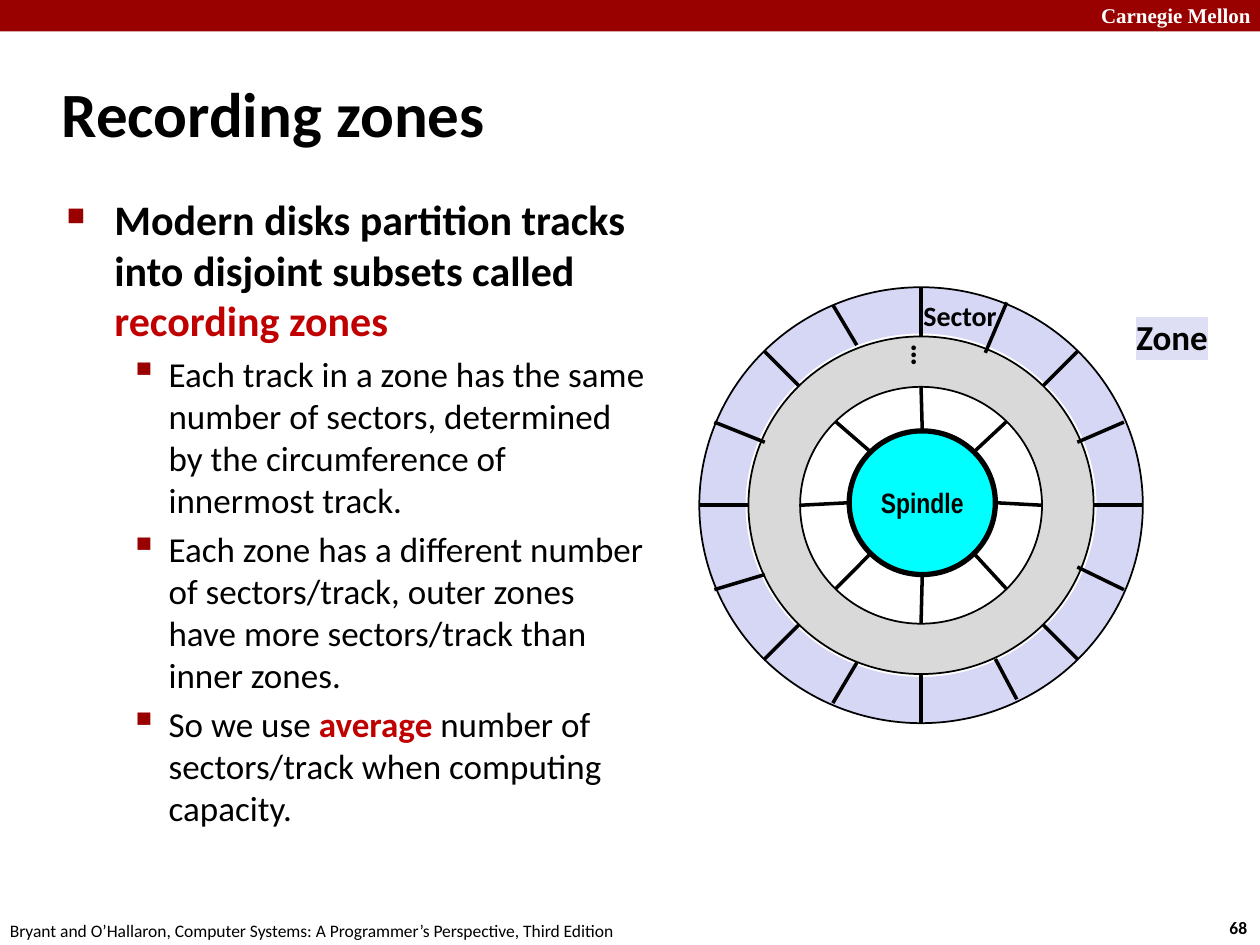
from math import cos, pi, sin

from lxml import etree
from pptx import Presentation
from pptx.dml.color import RGBColor
from pptx.enum.shapes import MSO_CONNECTOR, MSO_SHAPE as SHAPE
from pptx.enum.text import MSO_ANCHOR as ANCHOR, PP_ALIGN as ALIGN
from pptx.oxml.ns import qn
from pptx.util import Inches, Pt

COLORS = {
    "black": "000000", "white": "FFFFFF", "band": "990000", "accent": "C00000",
    "zone": "D6D6F5", "highlight": "DEDFF5", "gap": "D9D9D9", "spindle": "00FFFF",
}

# Disk geometry: centres and (horizontal, vertical) radii
DISK, HUB = (7.31, 4.01), (7.32, 3.99)
OUTER, MIDDLE, INNER, SPINDLE = (1.76, 1.73), (1.37, 1.34), (0.96, 0.94), (0.58, 0.57)

# Sector borders of the outer zone between the eight main directions
EXTRA_BORDERS = [
    (7.99, 2.4, 7.82, 2.8), (8.55, 3.51, 8.92, 3.35),
    (8.55, 4.5, 8.92, 4.68), (7.9, 5.23, 8.07, 5.55),
    (6.8, 5.26, 6.61, 5.58), (5.67, 4.68, 6.07, 4.56),
    (5.67, 3.35, 6.07, 3.51), (6.61, 2.42, 6.8, 2.74),
]

# Body paragraphs: level and runs of (text, emphasised)
BODY = [
    (0, [("Modern disks partition tracks into disjoint subsets called ", False),
         ("recording zones", True)]),
    (1, [("Each track in a zone has the same number of sectors, determined by the "
          "circumference of innermost track.", False)]),
    (1, [("Each zone has a different number of sectors/track, outer zones have more "
          "sectors/track than inner zones.", False)]),
    (1, [("So we use ", False), ("average ", True),
         ("number of sectors/track when computing capacity.", False)]),
]
# Per level: text size, left margin, hanging indent, bullet, bullet size in percent
LEVELS = [(24, 0.38, 0.38, "■", 60), (20, 0.81, 0.31, "▪", 110)]


def rgb(name):
    return RGBColor.from_string(COLORS[name])


def style(r, size, color="black", bold=True, font="Calibri"):
    r.font.size, r.font.bold, r.font.name = Pt(size), bold, font
    r.font.color.rgb = rgb(color)


def add_shape(s, kind, x, y, w, h, fill=None, line=None):
    sp = s.shapes.add_shape(kind, Inches(x), Inches(y), Inches(w), Inches(h))
    sp.shadow.inherit = False
    if fill:
        sp.fill.solid()
        sp.fill.fore_color.rgb = rgb(fill)
    else:
        sp.fill.background()
    if line:
        sp.line.color.rgb = rgb("black")
        sp.line.width = Pt(line)
    else:
        sp.line.fill.background()
    return sp


def add_circle(s, center, radii, fill=None, line=None, kind=SHAPE.OVAL):
    (cx, cy), (rx, ry) = center, radii
    return add_shape(s, kind, cx - rx, cy - ry, 2 * rx, 2 * ry, fill, line)


def add_text(s, text, x, y, w, h, size, wrap=False, anchor=ANCHOR.TOP, **font):
    box = s.shapes.add_textbox(Inches(x), Inches(y), Inches(w), Inches(h))
    tf = box.text_frame
    tf.word_wrap, tf.vertical_anchor = wrap, anchor
    p = tf.paragraphs[0]
    p.text = text
    p.alignment = ALIGN.LEFT
    style(p.runs[0], size, **font)
    return box


def add_line(s, x1, y1, x2, y2):
    line = s.shapes.add_connector(
        MSO_CONNECTOR.STRAIGHT, Inches(x1), Inches(y1), Inches(x2), Inches(y2))
    line.line.color.rgb = rgb("black")
    line.line.width = Pt(2)
    etree.SubElement(line._element.spPr, qn("a:effectLst"))


def add_spokes(s, center, radii, end_center, end_radii):
    for i in range(8):
        ux, uy = cos(i * pi / 4), sin(i * pi / 4)
        add_line(s, center[0] + radii[0] * ux, center[1] + radii[1] * uy,
                 end_center[0] + end_radii[0] * ux, end_center[1] + end_radii[1] * uy)


def add_bullet(p, margin, hang, char, percent):
    pPr = p._p.get_or_add_pPr()
    pPr.set("marL", str(Inches(margin)))
    pPr.set("indent", str(-Inches(hang)))
    color = etree.SubElement(pPr, qn("a:buClr"))
    etree.SubElement(color, qn("a:srgbClr"), val=COLORS["band"])
    etree.SubElement(pPr, qn("a:buSzPct"), val=str(percent * 1000))
    etree.SubElement(pPr, qn("a:buChar"), char=char)


def add_body(s):
    box = s.shapes.add_textbox(Inches(0.43), Inches(1.49), Inches(4.83), Inches(5.54))
    tf = box.text_frame
    tf.word_wrap = True
    for i, (level, runs) in enumerate(BODY):
        p = tf.add_paragraph() if i else tf.paragraphs[0]
        size, *bullet = LEVELS[level]
        add_bullet(p, *bullet)
        p.level = level
        if i:
            p.space_before = Pt(size * 0.2)
        for text, strong in runs:
            r = p.add_run()
            r.text = text
            style(r, size, "accent" if strong else "black", strong or level == 0)


def add_disk(s):
    # Rings from the outside in
    zone = add_circle(s, DISK, OUTER, "zone", kind=SHAPE.DONUT)
    zone.adjustments[0] = 0.106
    add_circle(s, DISK, MIDDLE, "gap", 1)
    add_circle(s, DISK, INNER, "white", 1)
    add_circle(s, DISK, OUTER, line=1)
    spindle = add_circle(s, HUB, SPINDLE, "spindle", 3)
    tf = spindle.text_frame
    tf.text = "Spindle"
    tf.word_wrap, tf.vertical_anchor = False, ANCHOR.MIDDLE
    tf.paragraphs[0].alignment = ALIGN.CENTER
    style(tf.paragraphs[0].runs[0], 16, font="Arial Narrow")

    # Sector borders
    add_spokes(s, DISK, INNER, HUB, SPINDLE)
    add_spokes(s, DISK, OUTER, DISK, MIDDLE)
    for border in EXTRA_BORDERS:
        add_line(s, *border)

    # Labels
    dots = add_text(s, "…", 6.97, 2.73, 0.5, 0.28, 18)
    dots.text_frame._txBody.bodyPr.set("vert", "vert270")
    label = add_text(s, "Zone", 8.92, 2.45, 0.77, 0.44, 20, True, ANCHOR.MIDDLE)
    rPr = label.text_frame.paragraphs[0].runs[0].font._element
    mark = etree.Element(qn("a:highlight"))
    etree.SubElement(mark, qn("a:srgbClr"), val=COLORS["highlight"])
    rPr.find(qn("a:solidFill")).addnext(mark)
    add_text(s, "Sector", 7.23, 2.32, 0.79, 0.37, 16, anchor=ANCHOR.MIDDLE)


def main():
    prs = Presentation()
    prs.slide_width, prs.slide_height = Inches(10), Inches(7.5)
    s = prs.slides.add_slide(prs.slide_layouts[6])

    # Header band and footer
    add_shape(s, SHAPE.RECTANGLE, 0, 0, 10, 0.25, "band")
    add_text(s, "Carnegie Mellon", 8.64, -0.03, 1.43, 0.3, 12,
             color="white", font="Times New Roman")
    add_text(s, "68", 9.66, 7.23, 0.37, 0.27, 10)
    add_text(s, "Bryant and O’Hallaron, Computer Systems: A Programmer’s Perspective, "
             "Third Edition", -0.02, 7.25, 5.08, 0.27, 10, bold=False)

    # Title, text and disk
    add_text(s, "Recording zones", 0.39, 0.48, 8.3, 0.83, 36, True, ANCHOR.MIDDLE)
    add_body(s)
    add_disk(s)
    prs.save("out.pptx")


if __name__ == "__main__":
    main()
